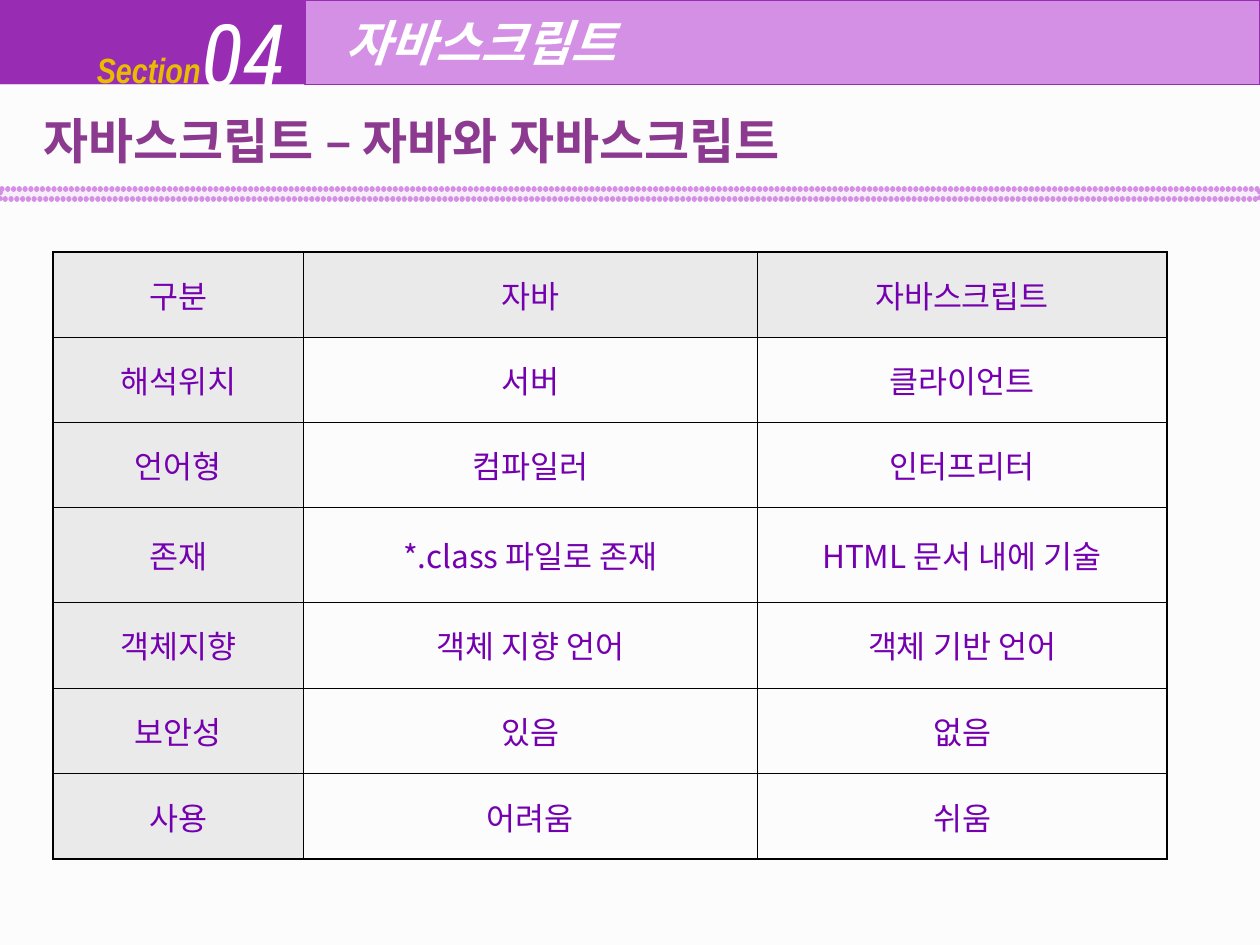
from dataclasses import dataclass
from typing import Optional

from lxml.etree import SubElement
from pptx import Presentation
from pptx.dml.color import RGBColor
from pptx.enum.shapes import MSO_SHAPE
from pptx.enum.text import MSO_ANCHOR, PP_ALIGN
from pptx.oxml.ns import qn
from pptx.util import Inches, Pt

PURPLE = RGBColor(0x98, 0x2C, 0xB2)
LILAC = RGBColor(0xD4, 0x90, 0xE4)
PALE_LILAC = RGBColor(0xF8, 0xED, 0xFB)
OFF_WHITE = RGBColor(0xFB, 0xFB, 0xFD)
WHITE = RGBColor(0xFF, 0xFF, 0xFF)
GOLD = RGBColor(0xE8, 0xBC, 0x00)
PLUM = RGBColor(0x8C, 0x3A, 0x90)
VIOLET = RGBColor(0x75, 0x00, 0xB0)
GRAY = RGBColor(0xEA, 0xEA, 0xEA)
KOREAN_FONT = "Noto Sans CJK KR"
THICK, THIN = 1.08, 0.45

COLUMN_WIDTHS = (1.99, 3.6, 3.25)
ROW_HEIGHTS = (0.68, 0.67, 0.68, 0.75, 0.68, 0.68, 0.68)
COMPARISON = (
    ("구분", "자바", "자바스크립트"),
    ("해석위치", "서버", "클라이언트"),
    ("언어형", "컴파일러", "인터프리터"),
    ("존재", "*.class 파일로 존재", "HTML 문서 내에 기술"),
    ("객체지향", "객체 지향 언어", "객체 기반 언어"),
    ("보안성", "있음", "없음"),
    ("사용", "어려움", "쉬움"),
)


@dataclass(frozen=True)
class Bar:
    """A filled rectangle with an optional outline."""

    left: float
    top: float
    width: float
    height: float
    fill: RGBColor
    line: Optional[RGBColor] = None
    line_width: float = 0.75


def write_text(frame, text: str, *, size: float, font: str, color: RGBColor,
               bold: bool = False, italic: bool = False,
               align=PP_ALIGN.LEFT, space_before: float = 0) -> None:
    """Write one formatted paragraph into a text frame."""
    para = frame.paragraphs[0]
    para.alignment = align
    para.space_before = Pt(space_before)
    span = para.add_run()
    span.text = text
    span.font.size, span.font.name = Pt(size), font
    span.font.bold, span.font.italic = bold, italic
    span.font.color.rgb = color
    SubElement(span.font._element, qn("a:ea"), typeface=KOREAN_FONT)


def add_bar(page, bar: Bar):
    """Draw a bar and return its shape."""
    box = page.shapes.add_shape(
        MSO_SHAPE.RECTANGLE, Inches(bar.left), Inches(bar.top),
        Inches(bar.width), Inches(bar.height))
    box.shadow.inherit = False
    box.fill.solid()
    box.fill.fore_color.rgb = bar.fill
    if bar.line is None:
        box.line.fill.background()
    else:
        box.line.color.rgb = bar.line
        box.line.width = Pt(bar.line_width)
    return box


def add_label(page, text: str, left: float, top: float, width: float,
              height: float, anchor=MSO_ANCHOR.MIDDLE, **style) -> None:
    """Add a wrapping text box."""
    box = page.shapes.add_textbox(
        Inches(left), Inches(top), Inches(width), Inches(height))
    box.text_frame.word_wrap = True
    box.text_frame.vertical_anchor = anchor
    write_text(box.text_frame, text, **style)


def set_transparency(box, opacity: int) -> None:
    """Set the opacity of a solid fill in percent."""
    color = box._element.spPr.find(qn("a:solidFill"))[0]
    SubElement(color, qn("a:alpha"), val=str(opacity * 1000))


def set_round_dots(box) -> None:
    """Turn the outline of a shape into a chain of round dots."""
    line = box.line._get_or_add_ln()
    line.set("cap", "rnd")
    dashes = SubElement(line, qn("a:custDash"))
    SubElement(dashes, qn("a:ds"), d="100000", sp="10000")
    SubElement(line, qn("a:round"))


def set_borders(cell, **widths: float) -> None:
    """Give a cell black borders, one width in points per side."""
    properties = cell._tc.get_or_add_tcPr()
    for position, (side, width) in enumerate(widths.items()):
        line = SubElement(properties, qn(f"a:ln{side}"), w=str(Pt(width)))
        properties.insert(position, line)
        fill = SubElement(line, qn("a:solidFill"))
        SubElement(fill, qn("a:srgbClr"), val="000000")


def add_comparison(page) -> None:
    """Add the table that compares the two languages."""
    table = page.shapes.add_table(
        len(ROW_HEIGHTS), len(COLUMN_WIDTHS), Inches(0.42), Inches(2),
        Inches(sum(COLUMN_WIDTHS)), Inches(sum(ROW_HEIGHTS))).table
    table.first_row = table.horz_banding = False
    for column, width in zip(table.columns, COLUMN_WIDTHS):
        column.width = Inches(width)
    last_row, last_column = len(ROW_HEIGHTS) - 1, len(COLUMN_WIDTHS) - 1
    for i, (height, words) in enumerate(zip(ROW_HEIGHTS, COMPARISON)):
        table.rows[i].height = Inches(height)
        for j, text in enumerate(words):
            cell = table.cell(i, j)
            cell.vertical_anchor = MSO_ANCHOR.MIDDLE
            if i == 0 or j == 0:
                cell.fill.solid()
                cell.fill.fore_color.rgb = GRAY
            else:
                cell.fill.background()
            set_borders(cell, L=THICK if j == 0 else THIN,
                        R=THICK if j == last_column else THIN,
                        T=THICK if i == 0 else THIN,
                        B=THICK if i == last_row else THIN)
            write_text(cell.text_frame, text, size=18, font=KOREAN_FONT,
                       color=VIOLET, align=PP_ALIGN.CENTER, space_before=4.5)


def main() -> None:
    """Build the slide and save it."""
    deck = Presentation()
    deck.slide_width, deck.slide_height = Inches(10), Inches(7.5)
    page = deck.slides.add_slide(deck.slide_layouts[6])
    page.background.fill.solid()
    page.background.fill.fore_color.rgb = WHITE

    add_bar(page, Bar(0, 0, 2.42, 0.67, PURPLE))
    add_label(page, "Section", 0.67, 0.25, 1.58, 0.6, size=20,
              font="Arial Narrow", color=GOLD, bold=True, italic=True)
    add_label(page, "04", 1.5, 0, 1, 0.83, size=50,
              font="Roboto Condensed", color=WHITE, italic=True)
    set_transparency(add_bar(page, Bar(0, 0.67, 10, 6.83, OFF_WHITE)), 50)

    banner = add_bar(page, Bar(2.42, 0, 7.58, 0.67, LILAC, PURPLE)).text_frame
    banner.word_wrap = False
    banner.vertical_anchor = MSO_ANCHOR.MIDDLE
    banner.margin_left = Inches(0.32)
    write_text(banner, "자바스크립트", size=28, font="Lato", color=WHITE,
               bold=True, italic=True)

    add_comparison(page)
    add_label(page, "자바스크립트 – 자바와 자바스크립트", 0.25, 0.83, 9.18, 0.57,
              anchor=MSO_ANCHOR.TOP, size=28, font="Lato", color=PLUM,
              bold=True)
    set_round_dots(add_bar(page, Bar(0, 1.5, 10, 0.08, PALE_LILAC, LILAC, 3)))
    deck.save("out.pptx")


if __name__ == "__main__":
    main()
